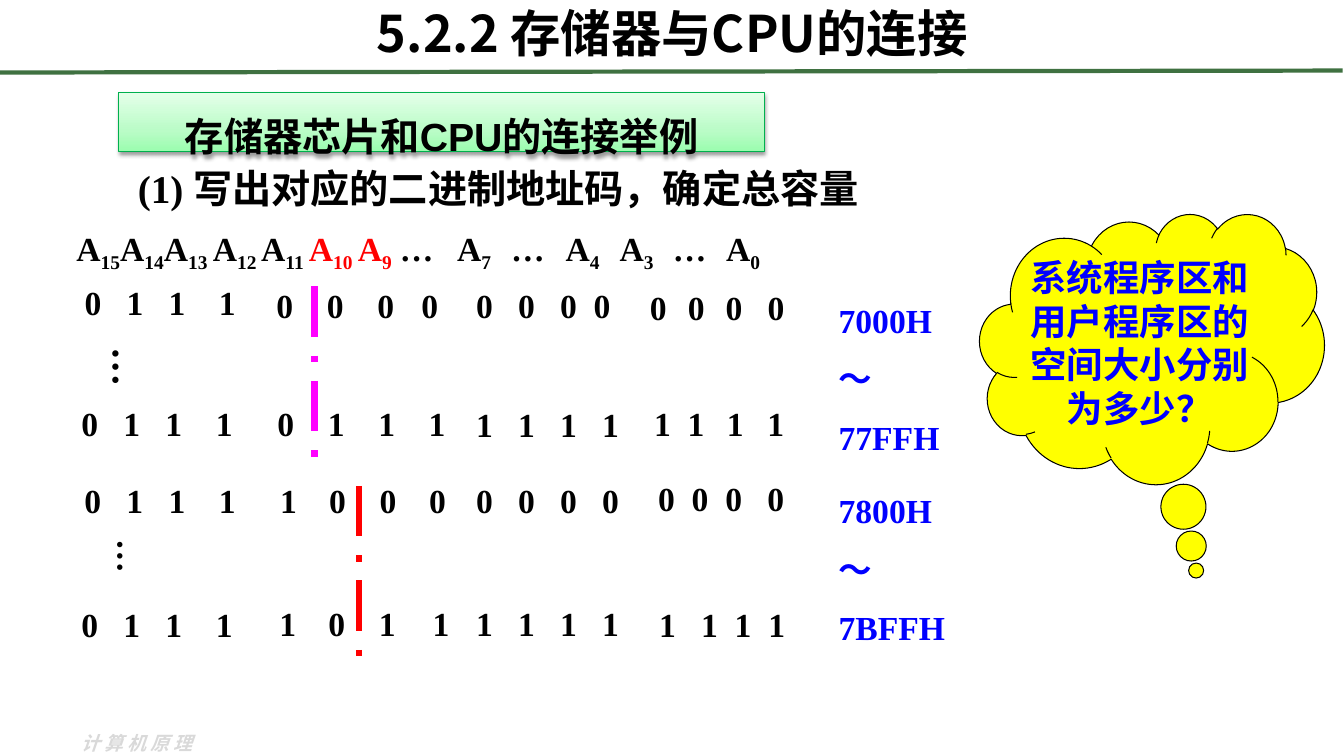
from copy import deepcopy
from dataclasses import dataclass

from lxml import etree
from pptx import Presentation
from pptx import util as u
from pptx.dml.color import RGBColor
from pptx.enum import dml, shapes, text
from pptx.oxml import ns

COLORS = {
    "black": "000000", "red": "FF0000", "blue": "0000FF", "magenta": "FF00FF",
    "yellow": "FFFF00", "rule": "3F7141", "border": "00B04E", "footer": "D9D9D9",
    "mint": "E4FFE9", "mint_mid": "BAFCC7", "mint_deep": "9BFDAF",
}
TIMES, ARIAL, NOTO = "Times New Roman", "Arial", "Noto Sans CJK SC"


@dataclass(frozen=True)
class Label:
    left: float
    top: float
    width: float
    height: float
    words: str
    size: float = 24
    font: str = TIMES
    color: str = "black"
    align: str = "LEFT"
    vertical: bool = False


@dataclass(frozen=True)
class Nibble:
    left: float
    top: float
    width: float
    bits: str
    steps: tuple[float, ...]
    inset: float = 7.2


@dataclass(frozen=True)
class Rule:
    start: tuple[float, float]
    end: tuple[float, float]
    color: str
    weight: float
    dashed: bool = False


@dataclass(frozen=True)
class AddressRange:
    top: float
    first: str
    last: str


def rgb(name: str) -> RGBColor:
    return RGBColor.from_string(COLORS[name])


def sub(parent, tag: str, **attrs: str):
    el = etree.SubElement(parent, ns.qn(tag))
    for key, value in attrs.items():
        el.set(key, value)
    return el


def add_run(p, words: str, size: float = 24, font: str = TIMES, color: str = "black"):
    r = p.add_run()
    r.text = words
    for key, value in {"size": u.Pt(size), "name": font, "bold": True}.items():
        setattr(r.font, key, value)
    sub(r._r.get_or_add_rPr(), "a:ea", typeface=NOTO)
    r.font.color.rgb = rgb(color)
    return r


def add_box(slide, left: float, top: float, width: float, height: float):
    sp = slide.shapes.add_textbox(u.Pt(left), u.Pt(top), u.Pt(width), u.Pt(height))
    sp.text_frame.word_wrap = True
    return sp.text_frame


def add_shape(slide, kind, left: float, top: float, width: float, height: float):
    sp = slide.shapes.add_shape(kind, u.Pt(left), u.Pt(top), u.Pt(width), u.Pt(height))
    sp.shadow.inherit = False
    return sp


def add_tabs(p, stops) -> None:
    tabs = sub(p._p.get_or_add_pPr(), "a:tabLst")
    for stop in stops:
        sub(tabs, "a:tab", pos=str(int(u.Pt(stop))), algn="l")


def draw_label(slide, item: Label):
    tf = add_box(slide, item.left, item.top, item.width, item.height)
    if item.vertical:
        tf._txBody.bodyPr.set("vert", "eaVert")
    p = tf.paragraphs[0]
    p.alignment = text.PP_ALIGN[item.align]
    return add_run(p, item.words, item.size, item.font, item.color)


def draw_nibble(slide, item: Nibble) -> None:
    tf = add_box(slide, item.left, item.top, item.width, 36.7)
    tf.margin_left = u.Pt(item.inset)
    p = tf.paragraphs[0]
    add_tabs(p, item.steps)
    add_run(p, "\t".join(item.bits))


def draw_rule(slide, item: Rule) -> None:
    points = [u.Pt(v) for v in item.start + item.end]
    ln = slide.shapes.add_connector(shapes.MSO_CONNECTOR.STRAIGHT, *points)
    ln.line.color.rgb = rgb(item.color)
    ln.line.width = u.Pt(item.weight)
    if item.dashed:
        ln.line.dash_style = dml.MSO_LINE.LONG_DASH_DOT
    sub(ln._element.spPr, "a:effectLst")


def draw_range(slide, item: AddressRange) -> None:
    sp = add_shape(slide, shapes.MSO_SHAPE.ROUNDED_RECTANGULAR_CALLOUT,
                   586, item.top, 121.7, 134.6)
    for i, value in enumerate((-0.438, 0.7, 0.167)):
        sp.adjustments[i] = value
    sp.fill.background()
    sp.line.fill.background()
    tf = sp.text_frame
    tf.vertical_anchor = text.MSO_ANCHOR.TOP
    for i, words in enumerate((item.first, "～", item.last)):
        p = tf.add_paragraph() if i else tf.paragraphs[0]
        p.alignment = text.PP_ALIGN.LEFT
        p.space_before = u.Pt(13 if i else 0)
        add_run(p, words, color="blue")


def draw_banner(slide) -> None:
    sp = add_shape(slide, shapes.MSO_SHAPE.RECTANGLE, 85, 66.2, 460.8, 41.8)
    sp.fill.gradient()
    sp.fill.gradient_angle = 270
    stops = sp.fill.gradient_stops
    for stop, color in zip(stops, ("mint", "mint_deep")):
        stop.color.rgb = rgb(color)
    first = sp._element.spPr.find(".//" + ns.qn("a:gs"))
    middle = deepcopy(first)
    middle.set("pos", "65000")
    middle[0].set("val", COLORS["mint_mid"])
    first.addnext(middle)
    sp.line.color.rgb = rgb("border")
    sp.line.width = u.Pt(0.75)
    shadow = sub(sp._element.spPr.find(ns.qn("a:effectLst")), "a:outerShdw",
                 blurRad=str(int(u.Pt(3.1))), dist=str(int(u.Pt(1.6))),
                 dir="5400000", rotWithShape="0")
    sub(sub(shadow, "a:srgbClr", val=COLORS["black"]), "a:alpha", val="38000")
    p = sp.text_frame.paragraphs[0]
    p.alignment = text.PP_ALIGN.CENTER
    p.line_spacing = 1.6
    add_run(p, "存储器芯片和CPU的连接举例", 28, ARIAL)


def draw_cloud(slide) -> None:
    sp = add_shape(slide, shapes.MSO_SHAPE.CLOUD_CALLOUT, 699.8, 152.6, 246.2, 193)
    sp.adjustments[0], sp.adjustments[1] = 0.128, 0.821
    sp.fill.solid()
    sp.fill.fore_color.rgb = rgb("yellow")
    sp.line.color.rgb = rgb("black")
    sp.line.width = u.Pt(0.75)
    tf = sp.text_frame
    for side in ("left", "right", "top", "bottom"):
        setattr(tf, f"margin_{side}", 0)
    p = tf.paragraphs[0]
    p.alignment = text.PP_ALIGN.CENTER
    add_run(p, "系统程序区和用户程序区的空间大小分别为多少？", 26, NOTO, "blue")


def draw_address_lines(slide) -> None:
    p = add_box(slide, 47.5, 159.1, 622.8, 36).paragraphs[0]
    add_tabs(p, (97.5, 132, 166, 201, 231, 272, 310.5, 349.5, 388, 426, 464))
    names = "15 14 13 12 11 10 9 … 7 … 4 3 … 0".split()
    for i, name in enumerate(names):
        color = "red" if name in ("10", "9") else "black"
        lead = "\t" if i > 2 else ""
        if name == "…":
            add_run(p, lead + name)
            continue
        add_run(p, lead + "A", color=color)
        r = add_run(p, name, color=color)
        r._r.get_or_add_rPr().set("baseline", "-25000")


HIGH, EVEN = (30, 60, 96), (30, 60, 90)
NIBBLES = [
    Nibble(53.3, 198, 138.2, "0111", HIGH),
    Nibble(184.3, 200.2, 156.2, "0000", (36, 72, 103.5), 13.2),
    Nibble(326.9, 200.2, 125.3, "0000", (30, 60, 84), 13.2),
    Nibble(457.2, 201.6, 118.8, "0000", (27, 54, 84)),
    Nibble(51.1, 284.4, 144, "0111", HIGH),
    Nibble(185, 284.4, 159.1, "0111", (36, 72, 108), 13.2),
    Nibble(326.9, 285.1, 132.5, "1111", EVEN, 13.2),
    Nibble(460.1, 284.4, 118.8, "1111", (24, 52, 81)),
    Nibble(53.3, 339.1, 141.8, "0111", HIGH),
    Nibble(182.9, 339.1, 164.2, "1000", (35, 71, 106.5), 17.2),
    Nibble(326.9, 339.1, 124.6, "0000", EVEN, 13.2),
    Nibble(463, 337.7, 110.2, "0000", (24, 48, 78)),
    Nibble(51.1, 427.7, 144, "0111", HIGH),
    Nibble(176.4, 427, 165.6, "1011", (35, 71, 109.5), 23.2),
    Nibble(326.9, 427, 127.4, "1111", EVEN, 13.2),
    Nibble(463.7, 427.7, 144, "1111", (30, 54, 78)),
]
LABELS = [
    Label(48.2, -2.2, 864, 61.2, "5.2.2 存储器与CPU的连接", 36, NOTO, align="CENTER"),
    Label(91.4, 113.8, 624.2, 41, "(1) 写出对应的二进制地址码，确定总容量", 28),
    Label(64.1, 241.2, 48.2, 54, "…", 28, vertical=True),
    Label(67.7, 378, 43.9, 54, "…", vertical=True),
]
RULES = [
    Rule((0, 51.8), (959, 50.4), "rule", 3),
    Rule((224.6, 204.5), (224.6, 326.2), "magenta", 4.5, True),
    Rule((256.3, 347), (256.3, 468.7), "red", 4.5, True),
]
RANGES = [AddressRange(204.5, "7000H", "77FFH"), AddressRange(340.6, "7800H", "7BFFH")]


def main() -> None:
    prs = Presentation()
    prs.slide_width, prs.slide_height = u.Pt(960), u.Pt(540)
    slide = prs.slides.add_slide(prs.slide_layouts[6])

    # Footer
    r = draw_label(slide, Label(51.1, 519.1, 105.1, 24.5, "计算机原理", 13.5, NOTO, "footer"))
    r.font.italic = True
    r._r.get_or_add_rPr().set("spc", "300")

    # Headings, address bits and dividers
    draw_banner(slide)
    draw_address_lines(slide)
    for draw, items in ((draw_label, LABELS), (draw_nibble, NIBBLES),
                        (draw_rule, RULES), (draw_range, RANGES)):
        for item in items:
            draw(slide, item)

    # Question
    draw_cloud(slide)
    prs.save("out.pptx")


if __name__ == "__main__":
    main()
